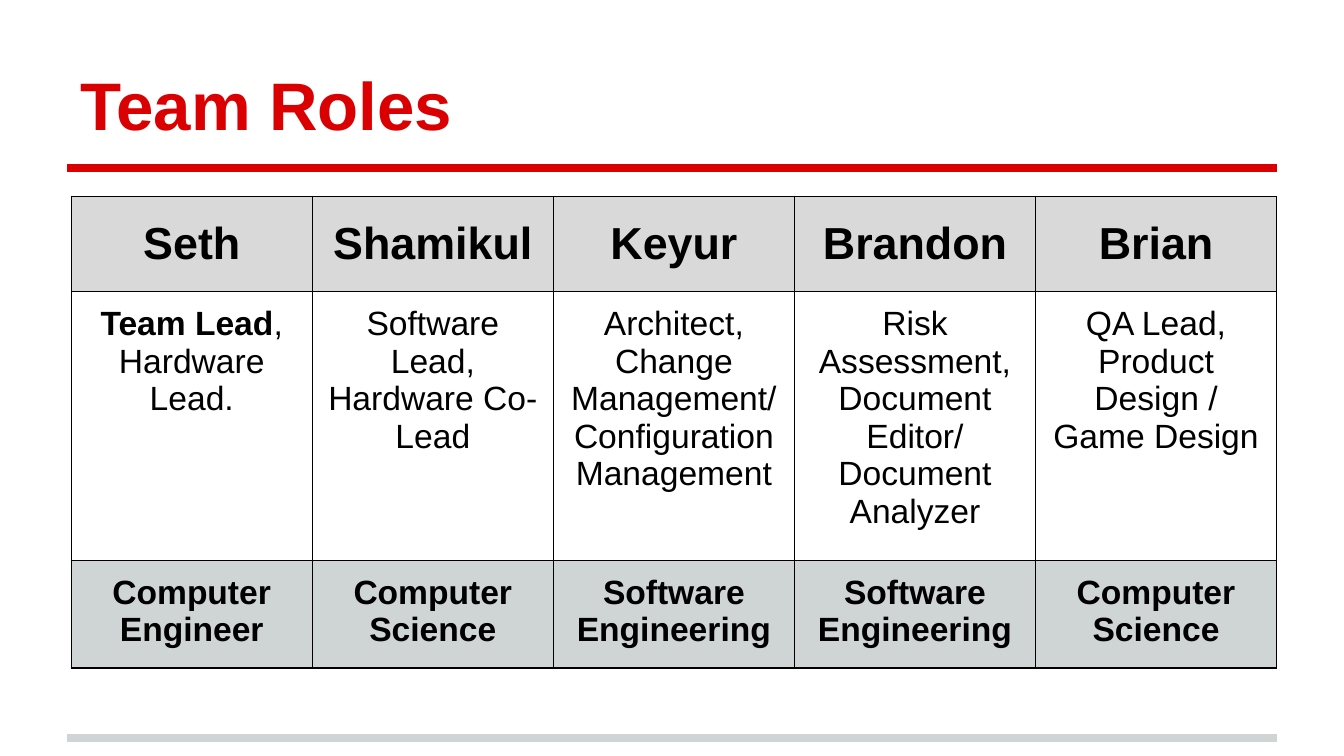
from dataclasses import dataclass

from lxml.etree import SubElement
from pptx import Presentation
from pptx.dml.color import RGBColor
from pptx.enum.shapes import MSO_CONNECTOR as Connector
from pptx.enum.text import MSO_ANCHOR as Anchor, PP_ALIGN as Align
from pptx.oxml.ns import qn
from pptx.util import Inches, Pt

TITLE = "Team Roles"
MEMBERS = [
    ("Seth", ["Team Lead,", "Hardware Lead."], "Computer Engineer"),
    ("Shamikul", ["Software Lead,", "Hardware Co-Lead"], "Computer Science"),
    ("Keyur", ["Architect,", "Change Management/", "Configuration Management"],
     "Software Engineering"),
    ("Brandon", ["Risk Assessment,", "Document Editor/ Document Analyzer"],
     "Software Engineering"),
    ("Brian", ["QA Lead,", "Product Design / Game Design"], "Computer Science"),
]
BOLD_ROLE = "Team Lead"


@dataclass(frozen=True)
class Theme:
    font: str = "Arial"
    red: str = "DA0002"
    silver: str = "CFD4D4"
    header: str = "D9D9D9"
    black: str = "000000"
    title_size: int = 36
    name_size: int = 24
    body_size: int = 18
    rule_width: float = 4
    border_width: float = 0.75


THEME = Theme()
SLIDE_WIDTH = Inches(10)
SLIDE_HEIGHT = SLIDE_WIDTH * 9 // 16
MARGIN, CONTENT_WIDTH = 0.5, 9
INSET = Inches(0.1)
TABLE_LEFT, TABLE_TOP = 0.53, 1.46
COLUMN_WIDTH = (MARGIN + CONTENT_WIDTH - TABLE_LEFT) / len(MEMBERS)
# minimum height, fill, text size, bold, anchor
ROWS = [
    (0.71, THEME.header, THEME.name_size, True, Anchor.MIDDLE),
    (1.44, None, THEME.body_size, False, Anchor.TOP),
    (0.71, THEME.silver, THEME.body_size, True, Anchor.TOP),
]


def style(paragraph, size, color, bold):
    font = paragraph.font
    font.name, font.size, font.bold = THEME.font, Pt(size), bold
    font.color.rgb = RGBColor.from_string(color)


def set_insets(target):
    target.margin_left = target.margin_right = INSET
    target.margin_top = target.margin_bottom = INSET


def add_rule(slide, y, color):
    rule = slide.shapes.add_connector(
        Connector.STRAIGHT, Inches(MARGIN), Inches(y),
        Inches(MARGIN + CONTENT_WIDTH), Inches(y))
    rule.line.color.rgb = RGBColor.from_string(color)
    rule.line.width = Pt(THEME.rule_width)
    SubElement(rule._element.spPr, qn("a:effectLst"))


def add_title(slide):
    box = slide.shapes.add_textbox(
        Inches(MARGIN), Inches(0.23), Inches(CONTENT_WIDTH), Inches(0.94))
    frame = box.text_frame
    frame.word_wrap = True
    frame.vertical_anchor = Anchor.BOTTOM
    set_insets(frame)
    frame.text = TITLE
    style(frame.paragraphs[0], THEME.title_size, THEME.red, True)


def add_borders(cell):
    """Must run before the cell's fill is set: borders come first in tcPr."""
    properties = cell._tc.get_or_add_tcPr()
    for side in ("lnL", "lnR", "lnT", "lnB"):
        line = SubElement(properties, qn(f"a:{side}"), w=str(Pt(THEME.border_width)))
        fill = SubElement(line, qn("a:solidFill"))
        SubElement(fill, qn("a:srgbClr"), val=THEME.black)


def fill_cell(cell, lines, fill, size, bold, anchor):
    add_borders(cell)
    if fill:
        cell.fill.solid()
        cell.fill.fore_color.rgb = RGBColor.from_string(fill)
    else:
        cell.fill.background()
    set_insets(cell)
    cell.vertical_anchor = anchor
    frame = cell.text_frame
    frame.text = "\n".join(lines)
    for paragraph in frame.paragraphs:
        paragraph.alignment = Align.CENTER
        style(paragraph, size, THEME.black, bold)
        if paragraph.text.startswith(BOLD_ROLE):
            lead = paragraph.runs[0]
            rest = lead.text.removeprefix(BOLD_ROLE)
            lead.text, lead.font.bold = BOLD_ROLE, True
            paragraph.add_run().text = rest


def add_roles_table(slide):
    table = slide.shapes.add_table(
        len(ROWS), len(MEMBERS), Inches(TABLE_LEFT), Inches(TABLE_TOP),
        Inches(COLUMN_WIDTH * len(MEMBERS)), Inches(sum(row[0] for row in ROWS))).table
    table.first_row = table.horz_banding = False
    for row, (height, *_) in zip(table.rows, ROWS):
        row.height = Inches(height)
    for column, (name, roles, major) in enumerate(MEMBERS):
        table.columns[column].width = Inches(COLUMN_WIDTH)
        for row, lines in enumerate(([name], roles, [major])):
            fill_cell(table.cell(row, column), lines, *ROWS[row][1:])


def main():
    presentation = Presentation()
    presentation.slide_width, presentation.slide_height = SLIDE_WIDTH, SLIDE_HEIGHT
    slide = presentation.slides.add_slide(presentation.slide_layouts[6])
    add_rule(slide, 5.49, THEME.silver)
    add_rule(slide, 1.25, THEME.red)
    add_title(slide)
    add_roles_table(slide)
    presentation.save("out.pptx")


if __name__ == "__main__":
    main()
